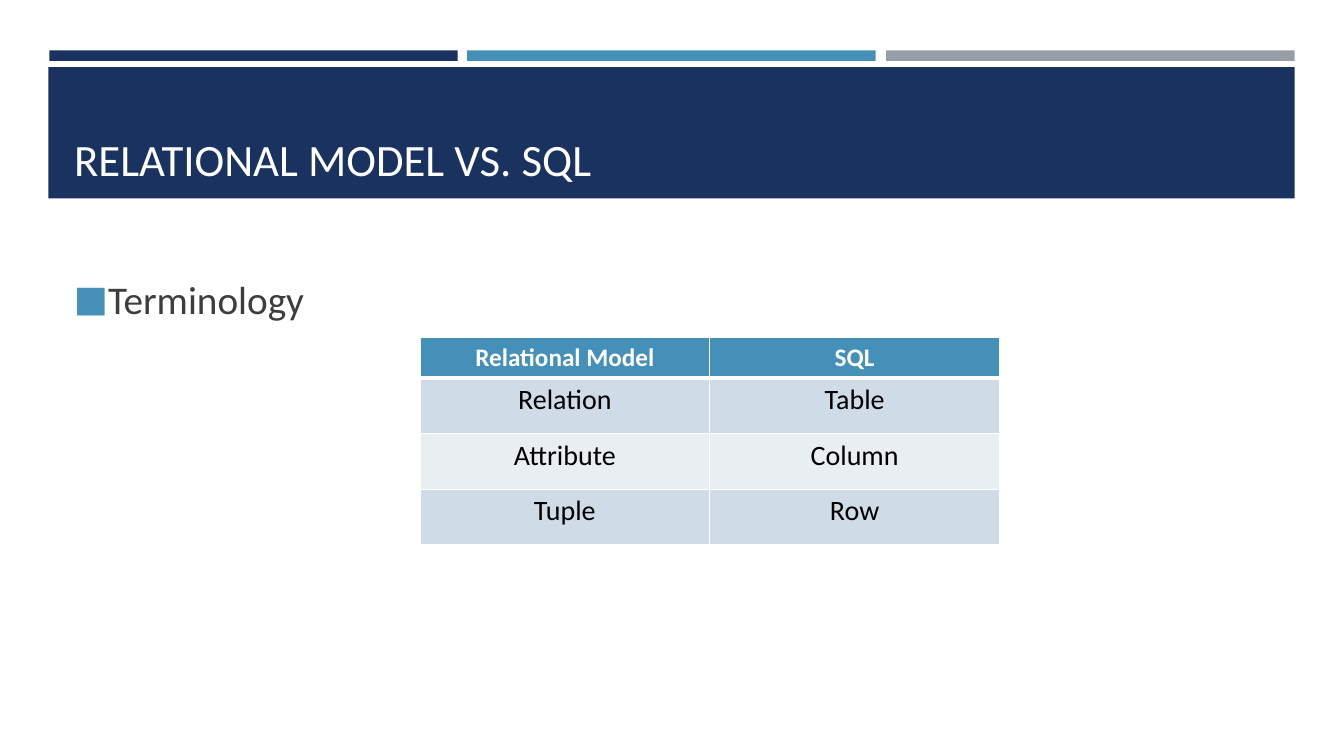
from dataclasses import dataclass

from lxml.etree import SubElement
from pptx import Presentation
from pptx.dml.color import RGBColor
from pptx.enum.shapes import MSO_SHAPE as Preset
from pptx.enum.text import MSO_ANCHOR as Anchor, MSO_AUTO_SIZE as AutoSize, PP_ALIGN as Align
from pptx.oxml.ns import qn
from pptx.slide import Slide
from pptx.table import _Cell as Cell
from pptx.text.text import _Paragraph as Paragraph
from pptx.util import Emu, Pt

EMU_PER_PX = 9525
FONT = "Calibri"
COLORS = {
    "navy": "1A3260",
    "blue": "4590B8",
    "gray": "969FA7",
    "white": "FFFFFF",
    "ink": "3D3D3D",
    "black": "000000",
    "band_dark": "CFDBE6",
    "band_light": "E9EEF3",
}
TERMS = [
    ("Relational Model", "SQL"),
    ("Relation", "Table"),
    ("Attribute", "Column"),
    ("Tuple", "Row"),
]
COLUMN_WIDTH, HEADER_HEIGHT, ROW_HEIGHT = 276, 39, 53


def px(length: int) -> Emu:
    return Emu(length * EMU_PER_PX)


def rgb(name: str) -> RGBColor:
    return RGBColor.from_string(COLORS[name])


@dataclass(frozen=True)
class Area:
    left: int
    top: int
    width: int
    height: int

    def emu(self) -> tuple[Emu, Emu, Emu, Emu]:
        return px(self.left), px(self.top), px(self.width), px(self.height)


@dataclass(frozen=True)
class Block:
    area: Area
    color: str


@dataclass(frozen=True)
class TextStyle:
    size: int
    color: str
    bold: bool = False


BLOCKS = [
    Block(Area(47 + index * 797 // 2, 48, 389, 10), color)
    for index, color in enumerate(("navy", "blue", "gray"))
] + [Block(Area(46, 64, 1187, 125), "navy")]
TITLE_AREA = Area(61, 74, 1158, 107)
BODY_AREA = Area(61, 228, 1158, 386)
TABLE_AREA = Area(400, 321, 2 * COLUMN_WIDTH, HEADER_HEIGHT + 3 * ROW_HEIGHT)


def write(para: Paragraph, text: str, style: TextStyle, align: Align = Align.LEFT) -> None:
    para.text = text
    para.alignment = align
    for span in para.runs:
        span.font.name = FONT
        span.font.size = Pt(style.size)
        span.font.bold = style.bold
        span.font.color.rgb = rgb(style.color)


def add_block(slide: Slide, block: Block) -> None:
    shape = slide.shapes.add_shape(Preset.RECTANGLE, *block.area.emu())
    shape.shadow.inherit = False
    shape.fill.solid()
    shape.fill.fore_color.rgb = rgb(block.color)
    shape.line.fill.background()


def place_title(slide: Slide, text: str) -> None:
    """Fill the title placeholder and bring it in front of the banner."""
    title = slide.shapes.title
    title.left, title.top, title.width, title.height = TITLE_AREA.emu()
    frame = title.text_frame
    frame.auto_size = AutoSize.NONE
    frame.vertical_anchor = Anchor.BOTTOM
    write(frame.paragraphs[0], text, TextStyle(32, "white"))
    title.element.getparent().append(title.element)


def add_bullet(para: Paragraph, symbol: str) -> None:
    properties = para._p.get_or_add_pPr()
    indent = px(32)
    properties.set("marL", str(indent))
    properties.set("indent", str(-indent))
    color = SubElement(properties, qn("a:buClr"))
    SubElement(color, qn("a:srgbClr"), val=COLORS["blue"])
    SubElement(properties, qn("a:buSzPct"), val="92000")
    SubElement(properties, qn("a:buFont"), typeface=FONT)
    SubElement(properties, qn("a:buChar"), char=symbol)


def add_body(slide: Slide, text: str) -> None:
    box = slide.shapes.add_textbox(*BODY_AREA.emu())
    frame = box.text_frame
    frame.word_wrap = True
    frame.margin_top = px(39)
    para = frame.paragraphs[0]
    write(para, text, TextStyle(28, "ink"))
    para.line_spacing = 0.9
    add_bullet(para, "■")


def add_borders(cell: Cell, top: int, bottom: int) -> None:
    """Draw white cell borders, with top and bottom widths in points."""
    properties = cell._tc.get_or_add_tcPr()
    for side, width in (("L", 1), ("R", 1), ("T", top), ("B", bottom)):
        line = SubElement(properties, qn(f"a:ln{side}"), w=str(Pt(width)))
        fill = SubElement(line, qn("a:solidFill"))
        SubElement(fill, qn("a:srgbClr"), val=COLORS["white"])


def add_terms_table(slide: Slide) -> None:
    table = slide.shapes.add_table(len(TERMS), len(TERMS[0]), *TABLE_AREA.emu()).table
    for column in table.columns:
        column.width = px(COLUMN_WIDTH)
    for index, terms in enumerate(TERMS):
        header = index == 0
        table.rows[index].height = px(HEADER_HEIGHT if header else ROW_HEIGHT)
        style = TextStyle(18, "white", True) if header else TextStyle(20, "black")
        fill = "blue" if header else ("band_light", "band_dark")[index % 2]
        for cell, term in zip(table.rows[index].cells, terms):
            add_borders(cell, top=3 if index == 1 else 1, bottom=3 if header else 1)
            cell.fill.solid()
            cell.fill.fore_color.rgb = rgb(fill)
            write(cell.text_frame.paragraphs[0], term, style, Align.CENTER)


def main() -> None:
    deck = Presentation()
    deck.slide_width, deck.slide_height = px(1280), px(720)
    slide = deck.slides.add_slide(deck.slide_layouts.get_by_name("Title Only"))
    for block in BLOCKS:
        add_block(slide, block)
    place_title(slide, "RELATIONAL MODEL VS. SQL")
    add_body(slide, "Terminology")
    add_terms_table(slide)
    deck.save("out.pptx")


if __name__ == "__main__":
    main()
